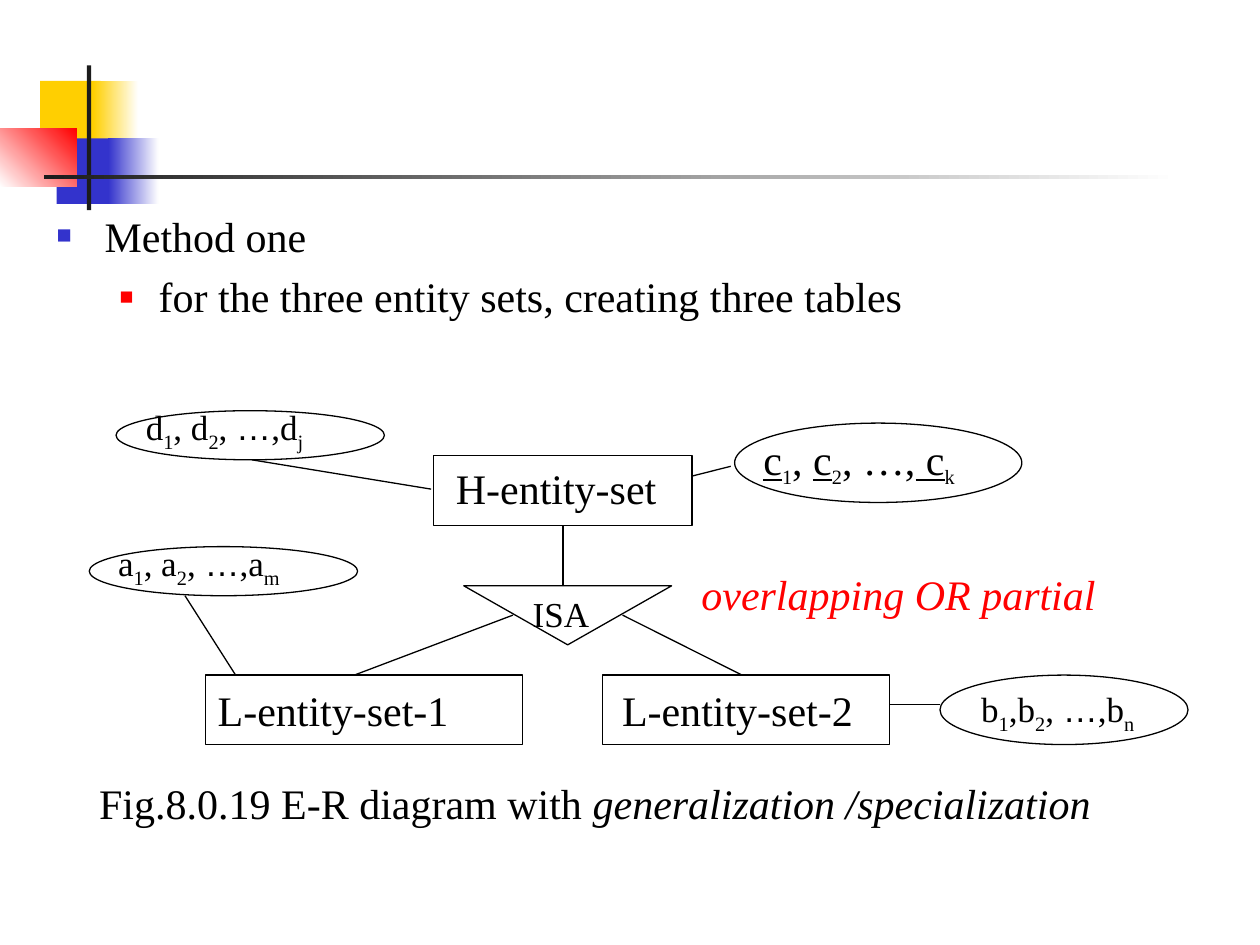
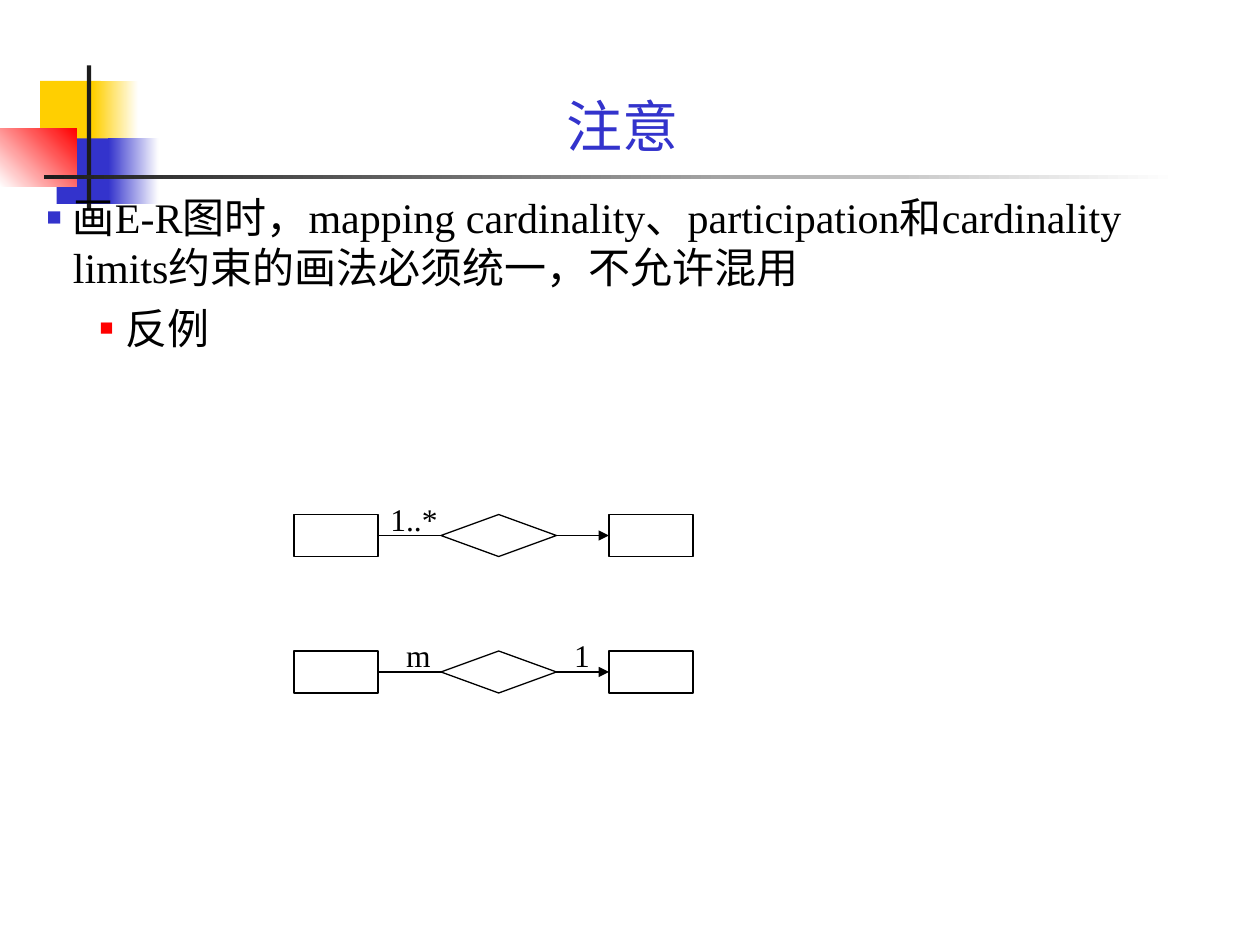
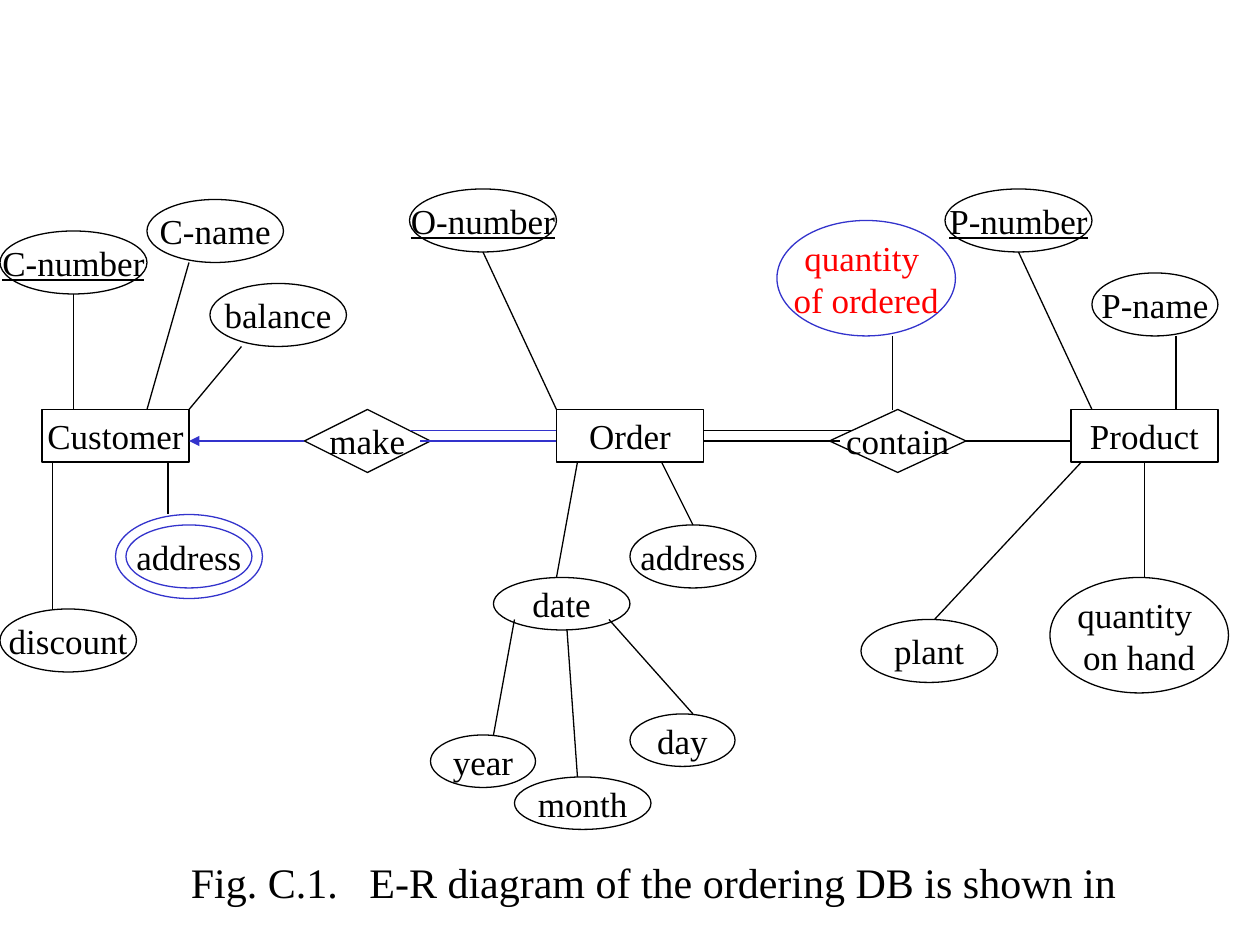
from lxml.etree import SubElement
from pptx import Presentation
from pptx.dml.color import RGBColor
from pptx.enum.shapes import MSO_CONNECTOR, MSO_SHAPE
from pptx.enum.text import MSO_ANCHOR, MSO_AUTO_SIZE, PP_ALIGN
from pptx.oxml.ns import qn
from pptx.util import Cm, Pt

BLACK, WHITE, RED = "000000", "FFFFFF", "FF0000"
BLUE, YELLOW, DARK = "3333CC", "FFCF01", "1C1C1C"
RECTANGLE, OVAL, DIAMOND = MSO_SHAPE.RECTANGLE, MSO_SHAPE.OVAL, MSO_SHAPE.DIAMOND
TWELFTH = 2.54 / 12  # grid step of the diagrams, in centimetres


def colour(code):
    return RGBColor.from_string(code)


class SlideWriter:
    """Holds the style and the current slide; lengths are multiples of step cm."""

    def __init__(self):
        self.deck = Presentation()
        self.deck.slide_width, self.deck.slide_height = Cm(25.4), Cm(19.05)
        self.font = "Times New Roman"
        self.page = None
        self.step = 1

    def new_page(self, step=1):
        self.page = self.deck.slides.add_slide(self.deck.slide_layouts[6])
        self.step = step

    def lengths(self, values):
        return [Cm(value * self.step) for value in values]

    # Shared decoration
    def band(self, place, start, end=None, angle=0):
        block = self.page.shapes.add_shape(RECTANGLE, *self.lengths(place))
        block.shadow.inherit = False
        block.line.fill.background()
        if end is None:
            block.fill.solid()
            block.fill.fore_color.rgb = colour(start)
            return
        block.fill.gradient()
        block.fill.gradient_angle = angle
        for stop, code in zip(block.fill.gradient_stops, (start, end)):
            stop.color.rgb = colour(code)

    def decoration(self):
        self.band((0.81, 1.63, 1.22, 1.32), YELLOW)
        self.band((1.88, 1.63, 0.91, 1.32), YELLOW, WHITE)
        self.band((1.14, 2.79, 1.17, 1.32), BLUE)
        self.band((2.18, 2.79, 1.02, 1.32), BLUE, WHITE)
        self.band((0, 2.59, 1.55, 1.17), WHITE, RED, angle=45)
        self.band((1.75, 1.32, 0.09, 2.92), DARK)
        self.band((0.89, 3.53, 22.86, 0.09), DARK, WHITE)

    # Text
    def format_run(self, run, size, code=BLACK, marks=""):
        """Marks: u underline, i italic, s subscript, a Arial."""
        run.font.name = "Arial" if "a" in marks else self.font
        run.font.size = Pt(size)
        run.font.color.rgb = colour(code)
        if "u" in marks:
            run.font.underline = True
        if "i" in marks:
            run.font.italic = True
        if "s" in marks:
            run._r.get_or_add_rPr().set("baseline", "-25000")

    def label(self, place, spans, size=24, code=BLACK, wrap=False, align=PP_ALIGN.LEFT):
        """Write one line; spans is a string or a list of (text, marks[, size])."""
        box = self.page.shapes.add_textbox(*self.lengths(place))
        frame = box.text_frame
        frame.word_wrap = wrap
        frame.auto_size = MSO_AUTO_SIZE.SHAPE_TO_FIT_TEXT
        para = frame.paragraphs[0]
        para.alignment = align
        if isinstance(spans, str):
            spans = [(spans, "")]
        for text, marks, *own_size in spans:
            run = para.add_run()
            run.text = text
            self.format_run(run, own_size[0] if own_size else size, code, marks)
        return para

    def bullets(self, place, items, indents):
        """Each indent is (text margin, hanging width) for one level."""
        box = self.page.shapes.add_textbox(*self.lengths(place))
        frame = box.text_frame
        frame.word_wrap = True
        frame.text = "\n".join(items)
        for level, para in enumerate(frame.paragraphs):
            margin, hanging = self.lengths(indents[level])
            props = para._p.get_or_add_pPr()
            props.set("marL", str(margin))
            props.set("indent", str(-hanging))
            tint = SubElement(props, qn("a:buClr"))
            SubElement(tint, qn("a:srgbClr"), val=(BLUE, RED)[level])
            SubElement(props, qn("a:buSzPct"), val=("60000", "55000")[level])
            SubElement(props, qn("a:buFont"), typeface="Arial")
            SubElement(props, qn("a:buChar"), char="■")
            para.level = level
            para.space_before = Pt(6 * level)
            for run in para.runs:
                self.format_run(run, 24)

    # Diagram parts
    def node(self, kind, place, text="", line=BLACK, code=BLACK, marks=""):
        shape = self.page.shapes.add_shape(kind, *self.lengths(place))
        shape.shadow.inherit = False
        shape.fill.background()
        shape.line.color.rgb = colour(line)
        shape.line.width = Pt(0.75)
        if not text:
            return
        frame = shape.text_frame
        frame.word_wrap = False
        frame.vertical_anchor = MSO_ANCHOR.MIDDLE
        frame.text = text
        for para in frame.paragraphs:
            para.alignment = PP_ALIGN.CENTER
            for run in para.runs:
                self.format_run(run, 20, code, marks)

    def link(self, ends, code=BLACK, arrow=False):
        line = self.page.shapes.add_connector(MSO_CONNECTOR.STRAIGHT, *self.lengths(ends))
        line.line.color.rgb = colour(code)
        line.line.width = Pt(0.75)
        if arrow:
            SubElement(line.line._get_or_add_ln(), qn("a:tailEnd"), type="triangle")
        SubElement(line._element.spPr, qn("a:effectLst"))


def attribute_list(letter, last, gap=" "):
    return [(letter, ""), ("1", "s"), (f",{gap}{letter}", ""), ("2", "s"),
            (", ", ""), ("…", "a"), (f",{letter}", ""), (last, "s")]


def specialization_page(writer):
    writer.new_page()
    writer.decoration()
    writer.bullets((0.89, 4.11, 23.29, 12.7),
                   ["Method one", "for the three entity sets, creating three tables"],
                   [(0.97, 0.97), (2.06, 0.79)])

    # Entity sets and ISA triangle
    for place in ((8.74, 9.19, 5.21, 1.4), (4.14, 13.61, 6.4, 1.4), (12.14, 13.61, 5.79, 1.4)):
        writer.node(RECTANGLE, place)
    writer.label((8.94, 9.19, 4.55, 1.27), "H-entity-set")
    writer.label((4.14, 13.67, 5.16, 1.27), "L-entity-set-1")
    writer.label((12.29, 13.67, 5.16, 1.27), "L-entity-set-2")
    writer.node(MSO_SHAPE.FLOWCHART_MERGE, (9.35, 11.81, 4.19, 1.19))
    writer.label((10.49, 11.81, 1.65, 1.09), "ISA", size=20)

    # Attributes
    for place in ((14.81, 8.53, 5.79, 1.6), (18.95, 13.61, 5, 1.4),
                  (1.8, 11.02, 5.41, 0.99), (2.34, 8.28, 5.41, 0.99)):
        writer.node(OVAL, place)
    writer.label((15.14, 8.61, 4.45, 1.27),
                 [("c", "u"), ("1", "s", 20), (", ", ""), ("c", "u"), ("2", "s", 20),
                  (", …,", ""), (" c", "u"), ("k", "s", 20)])
    writer.label((19.53, 13.74, 3.66, 1.09), attribute_list("b", "n", gap=""), size=20)
    writer.label((2.13, 10.8, 3.86, 1.09), attribute_list("a", "m"), size=20)
    writer.label((2.69, 8.05, 3.73, 1.09), attribute_list("d", "j"), size=20)

    # Links
    for ends in ((11.35, 10.6, 11.35, 11.81), (10.34, 12.4, 7.14, 13.61),
                 (12.55, 12.4, 14.96, 13.61), (13.94, 9.6, 14.73, 9.4),
                 (17.93, 14.2, 18.95, 14.2), (3.73, 12.01, 4.75, 13.61),
                 (5.08, 9.27, 8.69, 9.86)):
        writer.link(ends)

    # Caption and remark
    writer.label((1.75, 15.54, 20.9, 1.27),
                 [("Fig.8.0.19 E-R diagram with ", ""), ("generalization /specialization", "i")])
    writer.label((13.89, 11.33, 8.46, 1.27), [("overlapping OR partial", "i")], code=RED)


def notation_page(writer):
    writer.new_page()
    writer.decoration()
    writer.bullets((0.69, 3.73, 24, 14),
                   ["画E-R图时，mapping cardinality、participation和cardinality limits"
                    "约束的画法必须统一，不允许混用", "反例"],
                   [(0.53, 0.53), (1.6, 0.53)])
    writer.label((2.49, 1.73, 20.12, 1.6), "注意", size=32, code=BLUE,
                 wrap=True, align=PP_ALIGN.CENTER)

    # Two mixed notations, one per row
    writer.step = TWELFTH
    rows = ((49, [(36, 7, "1..*")]), (62, [(37.5, 4.7, "m"), (53.5, 3.9, "1")]))
    for top, marks in rows:
        for left in (28, 58):
            writer.node(RECTANGLE, (left, top, 8, 4))
        writer.node(DIAMOND, (42, top, 11, 4))
        writer.link((36, top + 2, 42, top + 2))
        writer.link((53, top + 2, 58, top + 2), arrow=True)
        for left, width, text in marks:
            writer.label((left, top - 2, width, 4.8), text, size=18)


def ordering_page(writer):
    writer.new_page(TWELFTH)

    # Entities and relationships
    for left, name in ((4, "Customer"), (53, "Order"), (102, "Product")):
        writer.node(RECTANGLE, (left, 39, 14, 5), name)
    writer.node(DIAMOND, (29, 39, 12, 6), "make")
    writer.node(DIAMOND, (79, 39, 13, 6), "contain")

    # Attributes
    for left, top, name in ((0, 22, "C-number"), (39, 18, "O-number"), (90, 18, "P-number")):
        writer.node(OVAL, (left, top, 14, 6), name, marks="u")
    for left, top, width, height, name in (
            (14, 19, 13, 6, "C-name"), (0, 58, 13, 6, "discount"), (20, 27, 13, 6, "balance"),
            (60, 50, 12, 6, "address"), (47, 55, 13, 5, "date"), (41, 70, 10, 5, "year"),
            (49, 74, 13, 5, "month"), (60, 68, 10, 5, "day"), (104, 26, 12, 6, "P-name"),
            (82, 59, 13, 6, "plant"), (100, 55, 17, 11, "quantity \non hand")):
        writer.node(OVAL, (left, top, width, height), name)
    writer.node(OVAL, (12, 50, 12, 6), "address", line=BLUE)
    writer.node(OVAL, (11, 49, 14, 8), line=BLUE)
    writer.node(OVAL, (74, 21, 17, 11), "quantity \nof ordered", line=BLUE, code=RED)

    # Links between entities and relationships
    writer.link((29, 42, 18, 42), BLUE, arrow=True)
    writer.link((53, 41, 39, 41), BLUE)
    writer.link((53, 42, 40, 42), BLUE)
    for ends in ((92, 42, 102, 42), (67, 41, 81, 41), (67, 42, 80, 42)):
        writer.link(ends)

    # Links to attributes
    for ends in ((7, 28, 7, 39), (18, 25, 14, 39), (23, 33, 18, 39), (5, 44, 5, 58),
                 (16, 44, 16, 49), (63, 44, 66, 50), (46, 24, 53, 39), (55, 44, 53, 55),
                 (49, 59, 47, 70), (54, 60, 55, 74), (58, 59, 66, 68), (85, 32, 85, 39),
                 (97, 24, 104, 39), (112, 32, 112, 39), (103, 44, 89, 59), (109, 44, 109, 55)):
        writer.link(ends)

    # Caption, with a tab after the number
    caption = writer.label((17, 81, 90.5, 6),
                           "Fig. C.1.\tE-R diagram of the ordering DB is shown in")
    stops = SubElement(caption._p.get_or_add_pPr(), qn("a:tabLst"))
    SubElement(stops, qn("a:tab"), pos=str(Cm(3.6)), algn="l")


def main():
    writer = SlideWriter()
    specialization_page(writer)
    notation_page(writer)
    ordering_page(writer)
    writer.deck.save("out.pptx")


if __name__ == "__main__":
    main()
